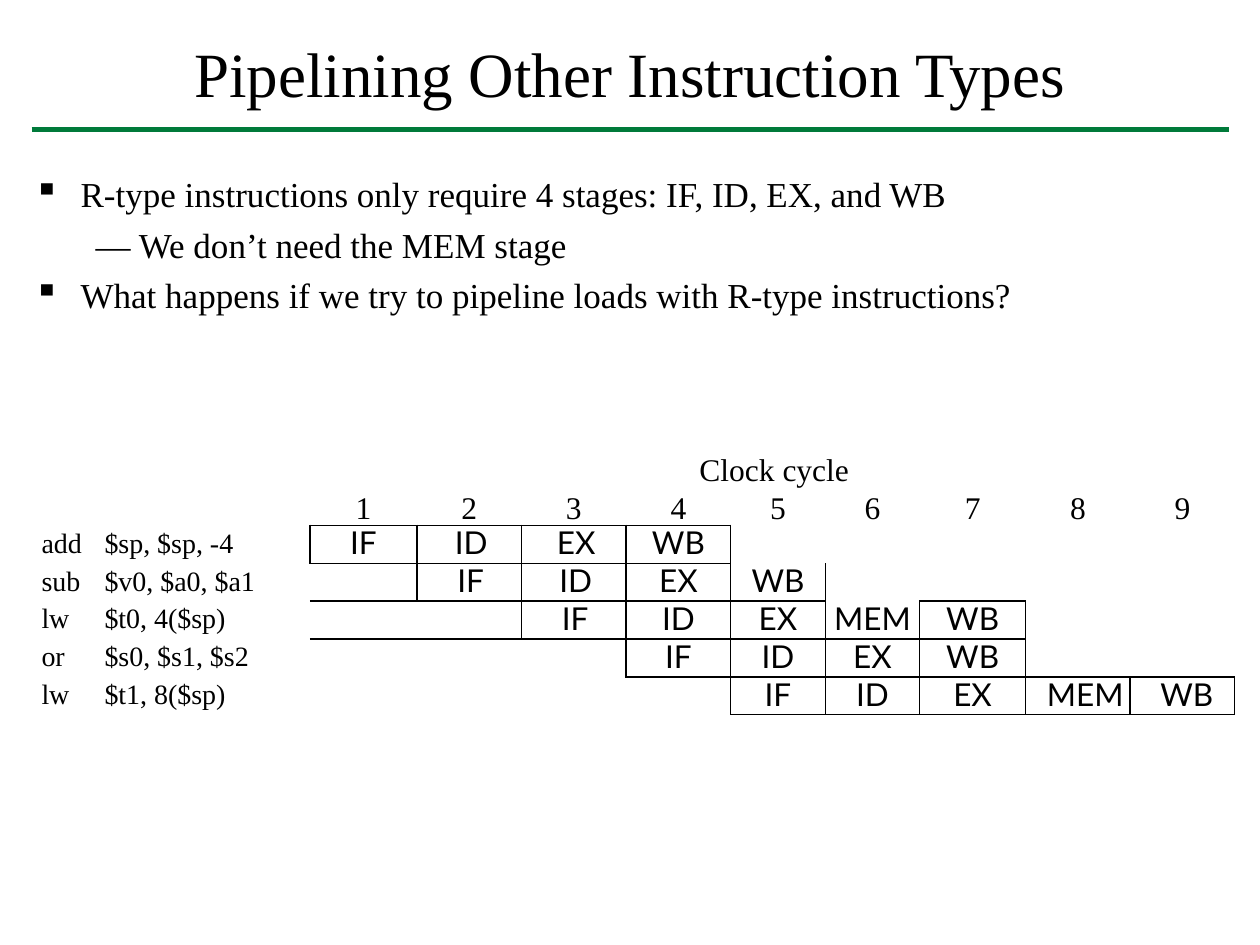
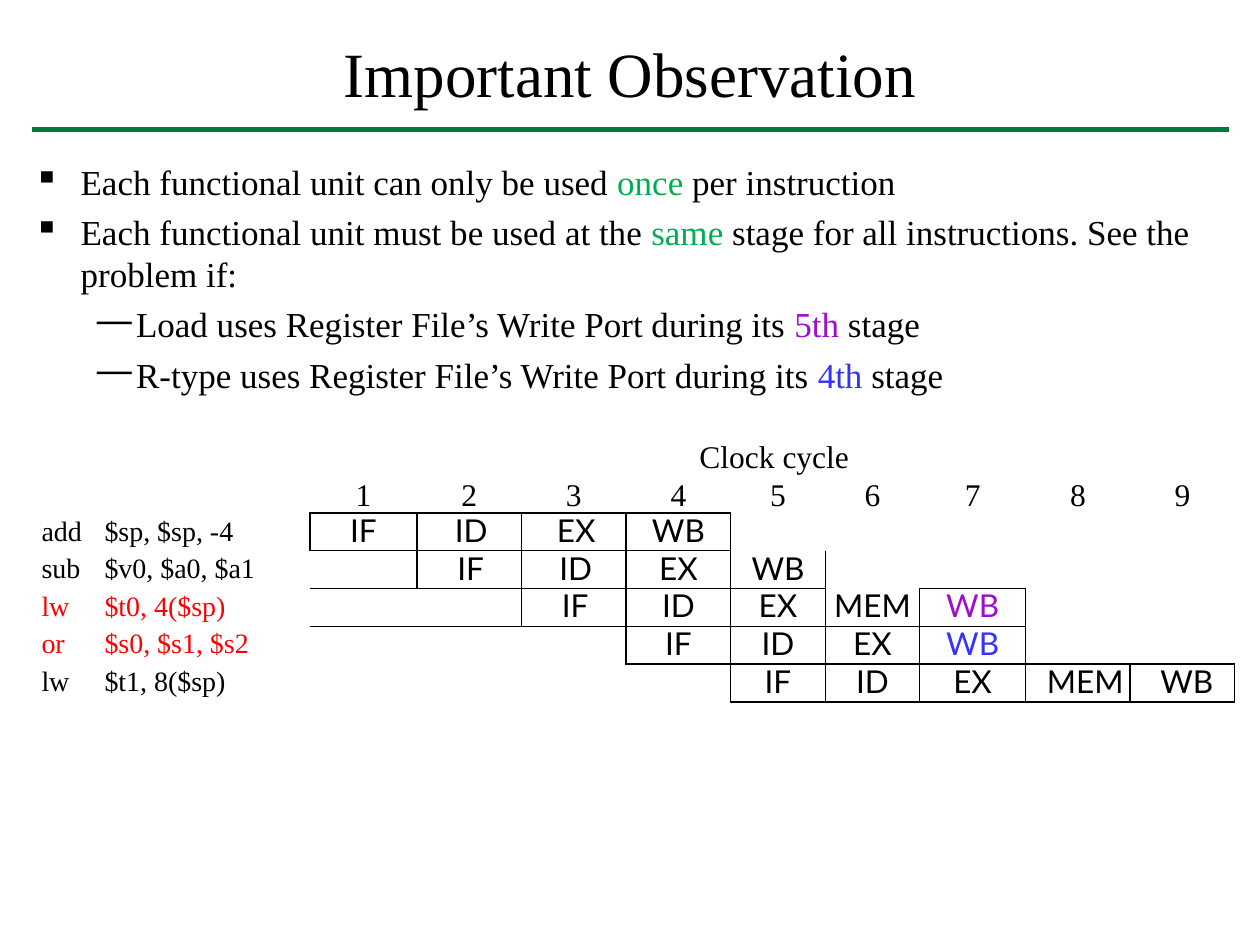
from dataclasses import dataclass
from itertools import accumulate

from lxml import etree
from pptx import Presentation
from pptx.dml.color import RGBColor
from pptx.enum.shapes import MSO_CONNECTOR
from pptx.enum.text import MSO_ANCHOR, PP_ALIGN
from pptx.oxml.ns import qn
from pptx.util import Inches, Pt

LEFT, CENTER = PP_ALIGN.LEFT, PP_ALIGN.CENTER
TOP = MSO_ANCHOR.TOP
STRAIGHT = MSO_CONNECTOR.STRAIGHT
PLAIN_TABLE = "{2D5ABB26-0587-4C30-8999-92F81FD0307C}"


@dataclass(frozen=True)
class Theme:
    serif: str = "Times New Roman"
    sans: str = "Lato"
    ink: str = "000000"
    rule: str = "007A3A"
    stress: str = "00B050"
    load: str = "9E0ECC"
    rtype: str = "3333FF"
    clash: str = "FF0000"
    title: int = 36
    body: int = 20
    diagram: int = 18
    code: int = 16


THEME = Theme()

# Paragraph kinds: left margin, first-line indent, bullet character
POINT = (0.39, -0.37, "▪")
DASHED = (0.83, -0.31, "—")
PLAIN_DASH = (0.51, 0, None)

# Pipeline diagram: each instruction starts one cycle after the one before
INSTRUCTIONS = [
    ("add", "$sp, $sp, -4", ["IF", "ID", "EX", "WB"]),
    ("sub", "$v0, $a0, $a1", ["IF", "ID", "EX", "WB"]),
    ("lw", "$t0, 4($sp)", ["IF", "ID", "EX", "MEM", "WB"]),
    ("or", "$s0, $s1, $s2", ["IF", "ID", "EX", "WB"]),
    ("lw", "$t1, 8($sp)", ["IF", "ID", "EX", "MEM", "WB"]),
]
CYCLE_WIDTHS = [0.85, 0.83, 0.83, 0.83, 0.75, 0.75, 0.84, 0.83, 0.83]
DIAGRAM_LEFT, ROW_HEIGHT = 2.46, 0.3
# Stages set from the left edge: (row, cycle) -> indent
STAGE_INDENTS = {(0, 1): 0.3, (0, 2): 0.28, (1, 1): 0.32, (1, 2): 0.3,
                 (2, 2): 0.32, (4, 7): 0.17, (4, 8): 0.24}
OPEN_TOPS = {("h", 1, 4), ("h", 2, 5)}
EXTRA_EDGES = {("h", 2, 0)}
# Blank areas: first and last (row, cycle)
BLANK_AREAS = [((0, 4), (0, 8)), ((1, 5), (1, 8)), ((2, 0), (2, 1)),
               ((2, 7), (3, 8)), ((3, 0), (3, 2)), ((4, 0), (4, 3))]


def cell_edges(row, col):
    return {"L": ("v", row, col), "R": ("v", row, col + 1),
            "T": ("h", row, col), "B": ("h", row + 1, col)}


class Deck:
    def __init__(self, theme):
        self.theme = theme
        self.prs = Presentation()
        self.prs.slide_width, self.prs.slide_height = Inches(10), Inches(7.5)
        self.slide = None

    def style(self, font, size, color=None, name=None):
        font.name = name or self.theme.serif
        font.size = Pt(size)
        font.color.rgb = RGBColor.from_string(color or self.theme.ink)

    def indent(self, paragraph, margin, first=0, bullet=None, tab=None):
        props = paragraph._p.get_or_add_pPr()
        props.set("marL", str(Inches(margin)))
        props.set("indent", str(Inches(first)))
        if bullet:
            etree.SubElement(props, qn("a:buChar"), char=bullet)
        if tab:
            tabs = etree.SubElement(props, qn("a:tabLst"))
            etree.SubElement(tabs, qn("a:tab"), pos=str(Inches(tab)), algn="l")

    def frame(self, x, y, w, h, top_inset=0.02, wrap=True):
        box = self.slide.shapes.add_textbox(Inches(x), Inches(y), Inches(w), Inches(h))
        frame = box.text_frame
        frame.word_wrap = wrap
        frame.vertical_anchor = TOP
        frame.margin_left = frame.margin_right = frame.margin_bottom = 0
        frame.margin_top = Inches(top_inset)
        return frame

    def paragraphs(self, frame, count):
        return [frame.paragraphs[0]] + [frame.add_paragraph() for _ in range(count - 1)]

    def label(self, text, x, y, w, h, size, align=CENTER, wrap=True):
        paragraph = self.frame(x, y, w, h, wrap=wrap).paragraphs[0]
        paragraph.text = text
        paragraph.alignment = align
        self.style(paragraph.font, size)

    def start(self, title):
        """New slide with its title and green rule."""
        self.slide = self.prs.slides.add_slide(self.prs.slide_layouts[6])
        self.label(title, 0.25, 0.25, 9.5, 0.62, self.theme.title)
        rule = self.slide.shapes.add_connector(
            STRAIGHT, Inches(0.25), Inches(1.03), Inches(9.75), Inches(1.03))
        rule.line.color.rgb = RGBColor.from_string(self.theme.rule)
        rule.line.width = Pt(3)
        etree.SubElement(rule._element.spPr, qn("a:effectLst"))

    def body(self, y, h, points):
        """Points are (kind, runs); a run is plain text or (text, colour)."""
        frame = self.frame(0.25, y, 9.5, h, top_inset=0.08)
        for i, (paragraph, (kind, runs)) in enumerate(
                zip(self.paragraphs(frame, len(points)), points)):
            if i:
                paragraph.space_before = Pt(4.8)
            self.indent(paragraph, *kind)
            self.style(paragraph.font, self.theme.body)
            for part in runs:
                text, color = (part, None) if isinstance(part, str) else part
                run = paragraph.add_run()
                run.text = text
                if color:
                    run.font.color.rgb = RGBColor.from_string(color)

    def listing(self, y, clashing):
        lines = self.paragraphs(self.frame(0.32, y, 1.93, 1.53), len(INSTRUCTIONS))
        for i, (line, (name, operands, _)) in enumerate(zip(lines, INSTRUCTIONS)):
            line.text = f"{name}\t{operands}"
            line.line_spacing = 1.12
            self.indent(line, 0.01, tab=0.58)
            self.style(line.font, self.theme.code,
                       self.theme.clash if i in clashing else None)

    def border(self, cell, side):
        line = etree.SubElement(cell._tc.get_or_add_tcPr(), qn(f"a:ln{side}"), w=str(Pt(1)))
        fill = etree.SubElement(line, qn("a:solidFill"))
        etree.SubElement(fill, qn("a:srgbClr"), val=self.theme.ink)

    def stages(self, y, colors):
        rows, cols = len(INSTRUCTIONS), len(CYCLE_WIDTHS)
        table = self.slide.shapes.add_table(
            rows, cols, Inches(DIAGRAM_LEFT), Inches(y),
            Inches(sum(CYCLE_WIDTHS)), Inches(rows * ROW_HEIGHT)).table
        table._tbl.tblPr.find(qn("a:tableStyleId")).text = PLAIN_TABLE
        table.first_row = table.horz_banding = False
        for column, width in zip(table.columns, CYCLE_WIDTHS):
            column.width = Inches(width)
        for row in table.rows:
            row.height = Inches(ROW_HEIGHT)

        stage_at = {(r, r + i): stage for r, (_, _, names) in enumerate(INSTRUCTIONS)
                    for i, stage in enumerate(names)}
        inked = {edge for spot in stage_at for edge in cell_edges(*spot).values()}
        inked = inked - OPEN_TOPS | EXTRA_EDGES

        for spot in ((r, c) for r in range(rows) for c in range(cols)):
            cell = table.cell(*spot)
            cell.margin_left = cell.margin_right = cell.margin_top = cell.margin_bottom = 0
            for side, edge in cell_edges(*spot).items():
                if edge in inked:
                    self.border(cell, side)
            cell.fill.background()
            paragraph = cell.text_frame.paragraphs[0]
            paragraph.text = stage_at.get(spot, "")
            paragraph.line_spacing = Pt(20.6)
            paragraph.alignment = LEFT if spot in STAGE_INDENTS else CENTER
            self.indent(paragraph, STAGE_INDENTS.get(spot, 0))
            self.style(paragraph.font, self.theme.diagram, colors.get(spot), self.theme.sans)
        for first, last in BLANK_AREAS:
            table.cell(*first).merge(table.cell(*last))

    def pipeline(self, y, clashing=(), colors=None):
        """Cycle numbers, stage table and instruction listing."""
        size = self.theme.diagram
        self.label("Clock cycle", 5.5, y - 0.62, 1.29, 0.33, size)
        ends = accumulate(CYCLE_WIDTHS, initial=DIAGRAM_LEFT)
        for cycle, (start, width) in enumerate(zip(ends, CYCLE_WIDTHS), 1):
            self.label(str(cycle), start + width / 2 - 0.08, y - 0.32, 0.16, 0.33,
                       size, wrap=False)
        self.stages(y, colors or {})
        self.listing(y - 0.05, clashing)


def main():
    deck = Deck(THEME)

    # Slide 1: R-type instructions in the pipeline
    deck.start("Pipelining Other Instruction Types")
    deck.body(1.29, 1.23, [
        (POINT, ["R-type instructions only require 4 stages: IF, ID, EX, and WB"]),
        (PLAIN_DASH, ["— We don’t need the MEM stage"]),
        (POINT, ["What happens if we try to pipeline loads with R-type instructions?"]),
    ])
    deck.pipeline(4.17)

    # Slide 2: two instructions reach the write port together
    deck.start("Important Observation")
    deck.body(1.19, 1.96, [
        (POINT, ["Each functional unit can only be used ", ("once", THEME.stress),
                 " per instruction"]),
        (POINT, ["Each functional unit must be used at the ", ("same", THEME.stress),
                 " stage for all instructions. See the problem if:"]),
        (DASHED, ["Load uses Register File’s Write Port during its ",
                  ("5th", THEME.load), " stage"]),
        (DASHED, ["R-type uses Register File’s Write Port during its ",
                  ("4th", THEME.rtype), " stage"]),
    ])
    deck.pipeline(4.07, clashing=(2, 3),
                  colors={(2, 6): THEME.load, (3, 6): THEME.rtype})

    deck.prs.save("out.pptx")


if __name__ == "__main__":
    main()
